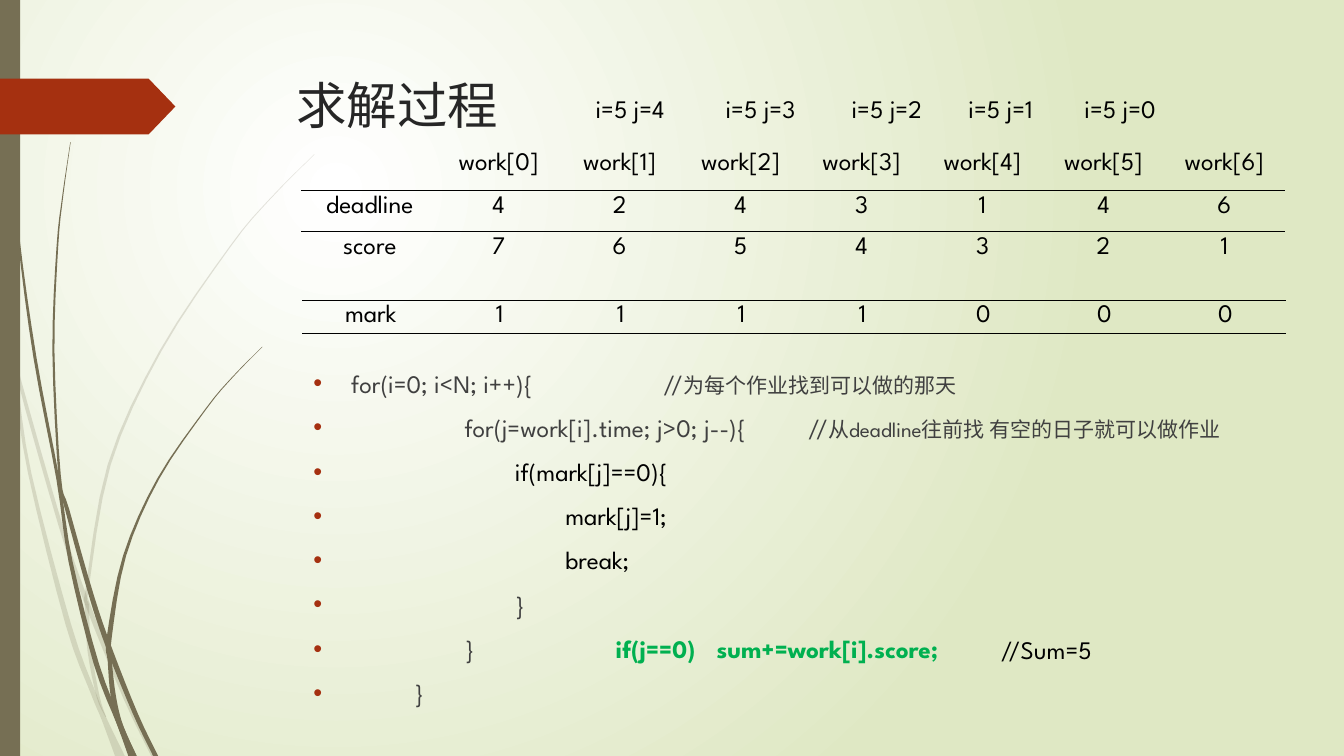
"""Build the slide that traces a greedy homework schedule."""
import pptx
import pptx.util
import pptx.dml.color
import pptx.enum.shapes
import pptx.enum.text
import pptx.oxml
import pptx.oxml.ns

Pt = pptx.util.Pt
ALIGN = pptx.enum.text.PP_ALIGN
FONT = "League Spartan"
STEPS = 4
HUES = {"stem": "766F54", "red": "A53010", "black": "000000", "gray": "404040",
        "title": "262626", "green": "00B050", "white": "FFFFFF", "lime": "DFE8C4"}
PALE = [
    ((2, 7), [(0, 203, 0.3), (5, 232, 2.9), (8.3, 252, 1), (11, 271, 2.5),
              (21.2, 338, 2.4), (48.8, 446, 4), (66.6, 495, 3.8), (74.6, 514, 4),
              (85.7, 540, 7)]),
    ((3,), [(10, 248.4, 0.3), (13.7, 271, 2.5), (43.2, 375, 3), (62.3, 431, 3.6),
            (90, 499, 3.6), (109.8, 540, 3.6)]),
    ((5, 6), [(224.6, 110.2, 0.3), (193, 142, 0.7), (164.5, 176, 0.9), (114.5, 251, 1.5),
              (78, 332, 2.2), (62.3, 420.5, 2.2), (62, 432, 2.9), (64, 465, 2.9),
              (70.2, 498, 2.2), (75.6, 512, 0.5)]),
]
DARK = [
    ((4, 7), [(2.5, 0, 0.7), (5.4, 79, 0.8), (13, 167.5, 1.3), (25, 255.6, 2.2),
              (41.5, 343, 2.2), (50.4, 401, 2.9), (68.8, 474, 3.8), (85.8, 518, 4),
              (94.7, 540, 6)]),
    ((4, 7), [(50.4, 101.5, 0.3), (45, 139, 0.7), (41, 176.4, 1.2), (38.2, 251, 1.5),
              (42.6, 340, 1.8), (47.9, 363.6, 3), (65.3, 425.5, 3.6), (78.5, 464.4, 4),
              (96.8, 510, 3.6), (111.2, 540, 3.6)]),
    ((5, 8), [(187.5, 247.7, 0.3), (166.5, 269, 0.7), (147.2, 292, 0.9), (113, 342, 1.5),
              (89, 397, 2.2), (78.1, 455, 3.6), (78.5, 472.3, 3), (81, 497.5, 3.8),
              (86, 518.4, 4), (95.6, 540, 4)]),
]
WORKS = [
    [""] + [f"work[{i}]" for i in range(7)],
    ["deadline", "4", "2", "4", "3", "1", "4", "6"],
    ["score", "7", "6", "5", "4", "3", "2", "1"],
]
MARKS = [["mark", "1", "1", "1", "1", "0", "0", "0"]]
CODE = [
    ([250], [("for(i=0; i<N; i++){\t//", {}), ("为每个作业找到可以做的那天", {"size": 15})]),
    ([108, 353.5], [("\tfor(j=work[i].time; j>0; j--){\t//", {}),
                    ("从deadline往前找 有空的日子就可以做作业", {"size": 15})]),
    ([144], [("\tif(mark[j]==0){", {"hue": "black"})]),
    ([180], [("\tmark[j]=1;", {"hue": "black"})]),
    ([180], [("\tbreak;", {"hue": "black"})]),
    ([144], [("\t}", {})]),
    ([108, 216, 288], [("\t}", {}),
                       ("\tif(j==0)\tsum+=work[i].score;", {"hue": "green", "bold": True})]),
    ([72], [("\t}", {})]),
]


def rgb(hue):
    return pptx.dml.color.RGBColor.from_string(HUES[hue])


def add_xml(parent, tag, inner="", **attrs):
    text = "".join(f' {key}="{value}"' for key, value in attrs.items())
    space = pptx.oxml.ns.nsdecls("a")
    node = pptx.oxml.parse_xml(f"<a:{tag} {space}{text}>{inner}</a:{tag}>")
    parent.append(node)
    return node


def write(para, text, size=18, hue="black", bold=False, align=ALIGN.LEFT):
    para.alignment = align
    run = para.add_run()
    run.text = text
    font = run.font
    font.name, font.size, font.bold = FONT, Pt(size), bold
    font.color.rgb = rgb(hue)


def paint(shape, hue, alpha=100):
    shape.shadow.inherit = False
    shape.fill.solid()
    shape.fill.fore_color.rgb = rgb(hue)
    shape.line.fill.background()
    if alpha < 100:
        tone = shape.fill._xPr.find(".//" + pptx.oxml.ns.qn("a:srgbClr"))
        add_xml(tone, "alpha", val=alpha * 1000)


def smooth(knots):
    ends = [knots[0]] + knots + [knots[-1]]
    curve = []
    for a, b, c, d in zip(ends, ends[1:], ends[2:], ends[3:]):
        for step in range(STEPS):
            t = step / STEPS
            curve.append([q + t * (r - p) / 2 + t * t * (2 * p - 5 * q + 4 * r - s) / 2
                          + t ** 3 * (3 * q - p - 3 * r + s) / 2
                          for p, q, r, s in zip(a, b, c, d)])
    return curve + [knots[-1]]


def add_stem(slide, cuts, knots, alpha):
    curve = smooth(knots)
    ends = (0, *cuts, len(knots) - 1)
    for first, last in zip(ends, ends[1:]):
        part = curve[first * STEPS:last * STEPS + 1]
        left = [(x - w / 2, y) for x, y, w in part]
        right = [(x + w / 2, y) for x, y, w in reversed(part)]
        edge = [(Pt(max(x, 0)), Pt(y)) for x, y in left + right]
        form = slide.shapes.build_freeform(*edge[0])
        form.add_line_segments(edge[1:], close=True)
        paint(form.convert_to_shape(), "stem", alpha)


def add_block(slide, kind, hue, box):
    shape = slide.shapes.add_shape(kind, *map(Pt, box))
    paint(shape, hue)
    return shape


def add_label(slide, text, left, top, width):
    box = slide.shapes.add_textbox(Pt(left), Pt(top), Pt(width), Pt(29))
    box.text_frame.word_wrap = False
    write(box.text_frame.paragraphs[0], text)


def set_edges(cell, ruled):
    props = cell._tc.get_or_add_tcPr()
    for i, side in enumerate("LRTB"):
        ink = f'<a:solidFill><a:srgbClr val="{HUES["black"]}"/></a:solidFill>'
        line = add_xml(props, "ln" + side, ink if side in ruled else "<a:noFill/>", w=Pt(1))
        props.insert(i, line)


def add_grid(slide, rows, left, top, heights, rules):
    size = len(rows), len(rows[0])
    table = slide.shapes.add_table(*size, Pt(left), Pt(top), Pt(702.5), Pt(sum(heights))).table
    table.first_row = table.horz_banding = False
    for i, col in enumerate(table.columns):
        col.width = Pt(86.4 if i else 97.7)
    for row, texts, height, ruled in zip(table.rows, rows, heights, rules):
        row.height = Pt(height)
        for cell, text in zip(row.cells, texts):
            cell.margin_top, cell.margin_bottom = Pt(3.6), 0
            cell.fill.background()
            set_edges(cell, ruled)
            if text:
                write(cell.text_frame.paragraphs[0], text, align=ALIGN.CENTER)


def add_code(slide):
    frame = slide.shapes.add_textbox(Pt(216.7), Pt(259.2), Pt(702), Pt(261.4)).text_frame
    frame.word_wrap = True
    for i, (tabs, runs) in enumerate(CODE):
        para = frame.paragraphs[0] if i == 0 else frame.add_paragraph()
        props = para._p.get_or_add_pPr()
        props.set("marL", str(Pt(27)))
        props.set("indent", str(Pt(-27)))
        add_xml(props, "buClr", f'<a:srgbClr val="{HUES["red"]}"/>')
        add_xml(props, "buFont", typeface="Arial")
        add_xml(props, "buChar", char="•")
        stops = "".join(f'<a:tab pos="{Pt(stop)}" algn="l"/>' for stop in tabs)
        add_xml(props, "tabLst", stops)
        para.space_before = Pt(10 if i else 0)
        for text, form in runs:
            write(para, text, **{"hue": "gray", **form})


def set_back(slide):
    fill = slide.background.fill
    fill.gradient()
    for stop, hue in zip(fill.gradient_stops, ("white", "lime")):
        stop.color.rgb = rgb(hue)
    grad = slide.background._cSld.find(".//" + pptx.oxml.ns.qn("a:gradFill"))
    grad.remove(grad.find(pptx.oxml.ns.qn("a:lin")))
    add_xml(grad, "path", '<a:fillToRect l="50000" t="50000" r="100000" b="100000"/>',
            path="circle")


def set_title(slide, text):
    title = slide.shapes.title
    title.left, title.top, title.width, title.height = map(Pt, (204.5, 49, 200, 101))
    title.text_frame.vertical_anchor = pptx.enum.text.MSO_ANCHOR.TOP
    write(title.text_frame.paragraphs[0], text, size=36, hue="title")


def main():
    deck = pptx.Presentation()
    deck.slide_width, deck.slide_height = Pt(960), Pt(540)
    slide = deck.slides.add_slide(deck.slide_layouts[5])
    kinds = pptx.enum.shapes.MSO_SHAPE
    set_back(slide)
    for stems, alpha in ((PALE, 20), (DARK, 100)):
        for cuts, knots in stems:
            add_stem(slide, cuts, knots, alpha)
    add_block(slide, kinds.RECTANGLE, "stem", (0, 0, 14.4, 540))
    arrow = add_block(slide, kinds.PENTAGON, "red", (0, 56.2, 125.3, 39.8))
    arrow.adjustments[0] = 0.48
    set_title(slide, "求解过程")
    add_grid(slide, WORKS, 215.3, 105.9, (30.2, 29.3, 29.3), ("B", "TB", "T"))
    add_grid(slide, MARKS, 216, 214.5, (23.5,), ("TB",))
    add_code(slide)
    for j, left in enumerate((767.5, 684.7, 601.2, 511.2, 418.3)):
        add_label(slide, f"i=5 j={j}", left, 63.4, 69)
    add_label(slide, "//Sum=5", 707.8, 449.3, 88.6)
    deck.save("out.pptx")


if __name__ == "__main__":
    main()
